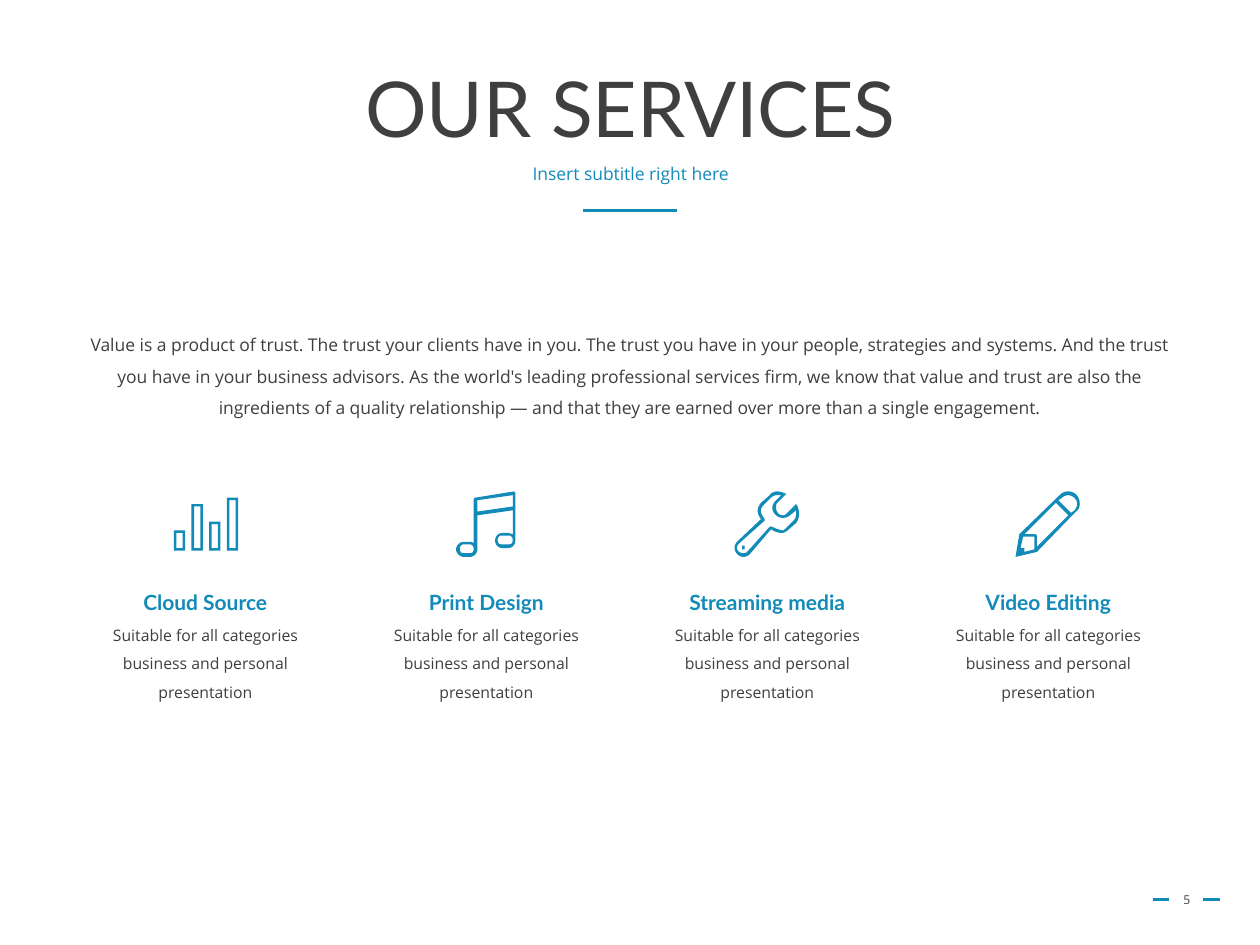
import pptx
import pptx.util
import pptx.dml.color
import pptx.enum.shapes
import pptx.enum.text
import pptx.oxml.ns
import lxml.etree
from dataclasses import dataclass

PX = 9144
MID = pptx.enum.text.MSO_ANCHOR.MIDDLE
TOP = pptx.enum.text.MSO_ANCHOR.TOP


@dataclass(frozen=True)
class Theme:
    blue: str = "138BB9"
    dark: str = "3F3F3F"
    head: str = "Lato"
    body: str = "Open Sans"
    title: int = 44
    label: int = 12
    text: int = 10
    small: int = 9
    page: int = 7
    line: float = 1.75


def emu(*px):
    return [round(v * PX) for v in px]


def tint(code):
    return pptx.dml.color.RGBColor.from_string(code)


def write(frame, text, font, size, color, bold=False, lead=1.0, anchor=TOP, wrap=True):
    frame.word_wrap = wrap
    frame.auto_size = pptx.enum.text.MSO_AUTO_SIZE.NONE
    frame.vertical_anchor = anchor
    frame.margin_left = frame.margin_right = 10 * PX
    frame.margin_top = frame.margin_bottom = 5 * PX
    para = frame.paragraphs[0]
    para.alignment = pptx.enum.text.PP_ALIGN.CENTER
    para.line_spacing = lead
    run = para.add_run()
    run.text = text
    run.font.name = font
    run.font.size = pptx.util.Pt(size)
    run.font.bold = bold
    run.font.color.rgb = tint(color)


def trace(parts, steps=8):
    spot = parts[0]
    points = [spot]
    for part in parts[1:]:
        if len(part) == 2:
            points.append(part)
        else:
            ax, ay, bx, by, x, y = part
            for n in range(1, steps + 1):
                t = n / steps
                u = 1 - t
                points.append(tuple(
                    u**3 * p + 3 * u * u * t * a + 3 * u * t * t * b + t**3 * q
                    for p, a, b, q in ((spot[0], ax, bx, x), (spot[1], ay, by, y))))
        spot = part[-2:]
    return [tuple(emu(*point)) for point in points]


def box(left, top, right, base):
    return [(left, top), (right, top), (right, base), (left, base)]


def head(left, top, right, base):
    mid = (top + base) / 2
    a, b = left + 3, right - 3
    return [(b, base), (a, base), (a - 2, base, left, base - 1, left, mid),
            (left, top + 2, a - 2, top, a, top), (b, top),
            (b + 2, top, right, top + 2, right, mid),
            (right, base - 1, b + 2, base, b, base)]


class Deck:
    def __init__(self, theme):
        self.theme = theme
        self.file = pptx.Presentation()
        self.file.slide_width, self.file.slide_height = emu(1000, 750)
        self.slide = self.file.slides.add_slide(self.file.slide_layouts[5])

    def title(self, text, left, top, width, height, **form):
        shape = self.slide.shapes.title
        shape.left, shape.top, shape.width, shape.height = emu(left, top, width, height)
        write(shape.text_frame, text, **form)

    def text(self, text, left, top, width, height, **form):
        shape = self.slide.shapes.add_textbox(*emu(left, top, width, height))
        write(shape.text_frame, text, **form)

    def rule(self, left, right, y):
        line = self.slide.shapes.add_connector(
            pptx.enum.shapes.MSO_CONNECTOR.STRAIGHT, *emu(left, y, right, y))
        line.line.color.rgb = tint(self.theme.blue)
        line.line.width = pptx.util.Pt(self.theme.line)
        lxml.etree.SubElement(line._element.spPr, pptx.oxml.ns.qn("a:effectLst"))

    def icon(self, loops):
        traced = [trace(loop) for loop in loops]
        pen = self.slide.shapes.build_freeform(*traced[0][0], scale=1.0)
        for points in traced:
            pen.move_to(*points[0])
            pen.add_line_segments(points[1:], close=True)
        shape = pen.convert_to_shape()
        shape.shadow.inherit = False
        shape.fill.solid()
        shape.fill.fore_color.rgb = tint(self.theme.blue)
        shape.line.fill.background()


BARS = [loop for n, top in enumerate((421, 400, 414, 395))
        for loop in (box(138 + 14 * n, top, 147 + 14 * n, 437),
                     box(140 + 14 * n, top + 2, 145 + 14 * n, 435))]
MUSIC = [
    [(408, 390), (377, 395), (376, 396), (376, 431), (376, 431, 374, 430, 373, 430),
     (368, 430), (365, 430, 362, 433, 362, 436), (362, 439, 365, 442, 368, 442),
     (373, 442), (376, 442, 379, 439, 379, 436), (379, 409), (407, 405), (407, 424),
     (406, 424, 405, 423, 403, 423), (399, 423), (395, 423, 393, 426, 393, 429),
     (393, 432, 395, 435, 399, 435), (403, 435), (407, 435, 409, 432, 409, 429),
     (409, 391)],
    head(365, 432, 376, 439), head(395, 425, 407, 432),
    [(407, 402), (379, 406), (379, 397), (407, 393)]]
WRENCH = [
    [(632, 400), (631, 401), (625, 407), (624, 408, 623, 409, 621, 409),
     (618, 409, 616, 406, 616, 403), (616, 401, 616, 400, 617, 399), (623, 393),
     (624, 392), (622, 391, 619, 390, 617, 390), (615, 390, 612, 391, 611, 393),
     (604, 399), (600, 404, 601, 408, 604, 412), (585, 430),
     (584, 431, 583, 433, 583, 435), (583, 438, 586, 442, 590, 442),
     (592, 442, 594, 441, 595, 440), (612, 420), (616, 423, 620, 423, 621, 423),
     (622, 423, 624, 422, 625, 421), (632, 415), (635, 411, 635, 405, 632, 400)],
    [(632, 405), (632, 408, 632, 411, 630, 413), (624, 419),
     (623, 420, 622, 421, 621, 421), (621, 421, 616, 420, 613, 418), (611, 418),
     (593, 438), (592, 439, 591, 439, 590, 439), (587, 439, 585, 437, 585, 435),
     (585, 433, 586, 432, 587, 431), (606, 414), (607, 413, 607, 413, 607, 412),
     (603, 407, 603, 404, 606, 401), (612, 395), (614, 393, 616, 393, 617, 393),
     (618, 393, 619, 393, 620, 393), (616, 397), (614, 399, 613, 401, 613, 403),
     (613, 407, 617, 411, 621, 411), (624, 411, 626, 410, 627, 409)],
    box(589, 433, 591, 436)]
PENCIL = [
    [(848, 390), (845, 390, 843, 391, 841, 393), (809, 424), (806, 442), (823, 438),
     (854, 406), (856, 405, 857, 402, 857, 400), (857, 394, 853, 390, 848, 390)],
    [(821, 436), (813, 438), (813, 435), (810, 435), (812, 426), (821, 426)],
    [(823, 434), (823, 425), (822, 424), (813, 424), (838, 399), (848, 409)],
    [(853, 405), (850, 407), (840, 397), (843, 395), (843, 395, 845, 393, 848, 393),
     (851, 393, 855, 396, 855, 400), (855, 402, 854, 403, 853, 405)]]
ITEMS = [("Cloud Source", BARS), ("Print Design", MUSIC),
         ("Streaming media", WRENCH), ("Video Editing", PENCIL)]
NOTE = "Suitable for all categories business and personal presentation"
INTRO = ("Value is a product of trust. The trust your clients have in you. The trust you have "
         "in your people, strategies and systems. And the trust you have in your business "
         "advisors. As the world's leading professional services firm, we know that value and "
         "trust are also the ingredients of a quality relationship — and that they are earned "
         "over more than a single engagement.")


def main():
    look = Theme()
    deck = Deck(look)
    for left, right, y in ((463, 537, 167), (915, 928, 714), (955, 968, 714)):
        deck.rule(left, right, y)
    deck.title("OUR SERVICES", 69, 40, 863, 98, font=look.head, size=look.title,
               color=look.dark, lead=0.9, anchor=MID)
    deck.text("5", 920, 694, 44, 40, font=look.body, size=look.page,
              color=look.dark, anchor=MID)
    deck.text("Insert subtitle right here", 69, 126, 863, 40, font=look.body,
              size=look.text, color=look.blue, lead=0.9)
    deck.text(INTRO, 52, 252, 895, 104, font=look.body, size=look.text,
              color=look.dark, lead=1.5)
    for n, (name, loops) in enumerate(ITEMS):
        mid = 163 + 223 * n
        deck.text(name, mid - 72, 463, 144, 30, font=look.head, size=look.label,
                  color=look.blue, bold=True, wrap=False)
        deck.text(NOTE, mid - 103, 484, 206, 78, font=look.body, size=look.small,
                  color=look.dark, lead=1.5)
        deck.icon(loops)
    deck.file.save("out.pptx")


if __name__ == "__main__":
    main()
